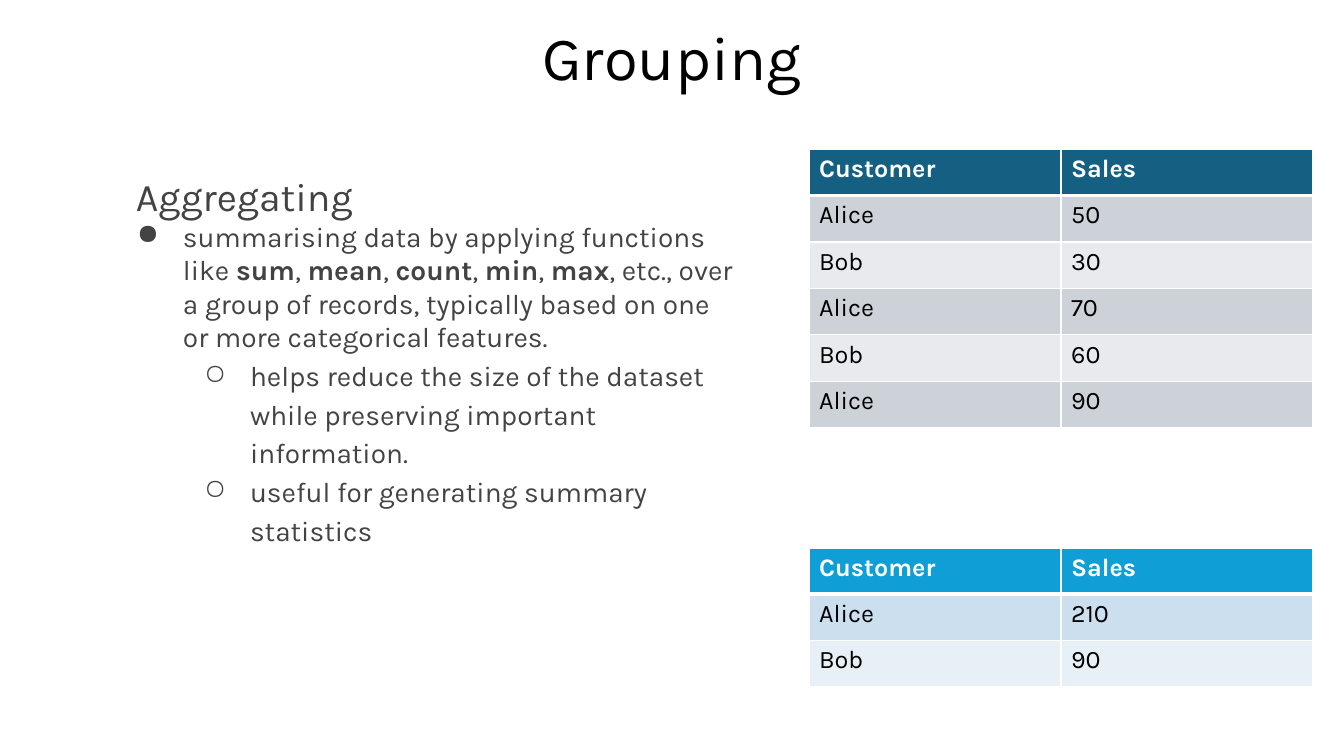
from lxml.etree import SubElement
from pptx import Presentation
from pptx.dml.color import RGBColor
from pptx.enum.text import MSO_ANCHOR, PP_ALIGN
from pptx.oxml.ns import qn
from pptx.util import Emu, Pt

# Content
FONT = "Karla"
COLORS = {"title": "000000", "body": "434343", "cell": "000000",
          "header": "FFFFFF", "border": "FFFFFF"}
TITLE = "Grouping"
TITLE_BOX = (106, 18, 1132, 85)
BODY_BOX = (106, 162, 643, 456)
# Each paragraph: level, size, line spacing, left margin, hanging, bullet, (text, bold) runs
PARAGRAPHS = [
    (0, 28, 1.0, 20, 0, None, [("Aggregating", False)]),
    (0, 20, 1.0, 67, 46, "●", [
        ("summarising data by applying functions like ", False),
        ("sum", True), (", ", False), ("mean", True), (", ", False),
        ("count", True), (", ", False), ("min", True), (", ", False), ("max", True),
        (", etc., over a group of records, typically based on one or more "
         "categorical features.", False)]),
    (1, 20, 1.15, 134, 46, "○", [
        ("helps reduce the size of the dataset while preserving important "
         "information.", False)]),
    (1, 20, 1.15, 134, 46, "○", [
        ("useful for generating summary statistics", False)]),
]
HEADER = ("Customer", "Sales")
TABLE_LEFT, TABLE_WIDTH = 809, 504
# Each table: top, height, header fill, band fills, records
TABLES = [
    (149, 279, "156082", ("CCD2D8", "E8EAED"),
     [("Alice", 50), ("Bob", 30), ("Alice", 70), ("Bob", 60), ("Alice", 90)]),
    (548, 139, "0F9ED5", ("CCDFEF", "E7F0F7"),
     [("Alice", 210), ("Bob", 90)]),
]


def px(n):
    return Emu(round(n * 914400 / 100.8))


def style(r, size, color, bold=False):
    r.font.name, r.font.size, r.font.bold = FONT, Pt(size), bold
    r.font.color.rgb = RGBColor.from_string(color)


def add_box(slide, box):
    tf = slide.shapes.add_textbox(*map(px, box)).text_frame
    tf.word_wrap = True
    tf.margin_left = tf.margin_right = tf.margin_top = tf.margin_bottom = px(10)
    return tf


def add_fill(parent, color):
    SubElement(SubElement(parent, qn("a:solidFill")), qn("a:srgbClr"), val=color)


def set_indent(p, left, hanging, bullet):
    pPr = p._p.get_or_add_pPr()
    pPr.set("marL", str(px(left)))
    pPr.set("indent", str(-px(hanging)))
    if bullet:
        SubElement(SubElement(pPr, qn("a:buClr")), qn("a:srgbClr"), val=COLORS["body"])
        SubElement(pPr, qn("a:buChar"), char=bullet)
    else:
        SubElement(pPr, qn("a:buNone"))


def set_borders(cell, row):
    widths = {"L": 1, "R": 1, "T": 3 if row == 1 else 1, "B": 3 if row == 0 else 1}
    tcPr = cell._tc.get_or_add_tcPr()
    for side, width in widths.items():
        ln = SubElement(tcPr, qn(f"a:ln{side}"), w=str(Pt(width)))
        add_fill(ln, COLORS["border"])


def add_sales_table(slide, top, height, header_fill, bands, records):
    rows = [HEADER, *records]
    table = slide.shapes.add_table(len(rows), len(HEADER), px(TABLE_LEFT), px(top),
                                   px(TABLE_WIDTH), px(height)).table
    for i, values in enumerate(rows):
        fill = bands[(i - 1) % 2] if i else header_fill
        for j, value in enumerate(values):
            cell = table.cell(i, j)
            set_borders(cell, i)
            cell.fill.solid()
            cell.fill.fore_color.rgb = RGBColor.from_string(fill)
            p = cell.text_frame.paragraphs[0]
            p.text = str(value)
            style(p.runs[0], 18, COLORS["cell" if i else "header"], bold=i == 0)


def main():
    prs = Presentation()
    prs.slide_width, prs.slide_height = px(1344), px(756)
    slide = prs.slides.add_slide(prs.slide_layouts[6])

    # Explanation
    tf = add_box(slide, BODY_BOX)
    for i, (level, size, spacing, left, hanging, bullet, runs) in enumerate(PARAGRAPHS):
        p = tf.add_paragraph() if i else tf.paragraphs[0]
        p.level, p.line_spacing = level, spacing
        set_indent(p, left, hanging, bullet)
        for text, bold in runs:
            r = p.add_run()
            r.text = text
            style(r, size, COLORS["body"], bold)

    # Title
    tf = add_box(slide, TITLE_BOX)
    tf.vertical_anchor = MSO_ANCHOR.MIDDLE
    p = tf.paragraphs[0]
    p.text, p.alignment, p.line_spacing = TITLE, PP_ALIGN.CENTER, 0.9
    style(p.runs[0], 44, COLORS["title"])

    # Records and their totals
    for table in TABLES:
        add_sales_table(slide, *table)

    prs.save("out.pptx")


if __name__ == "__main__":
    main()
